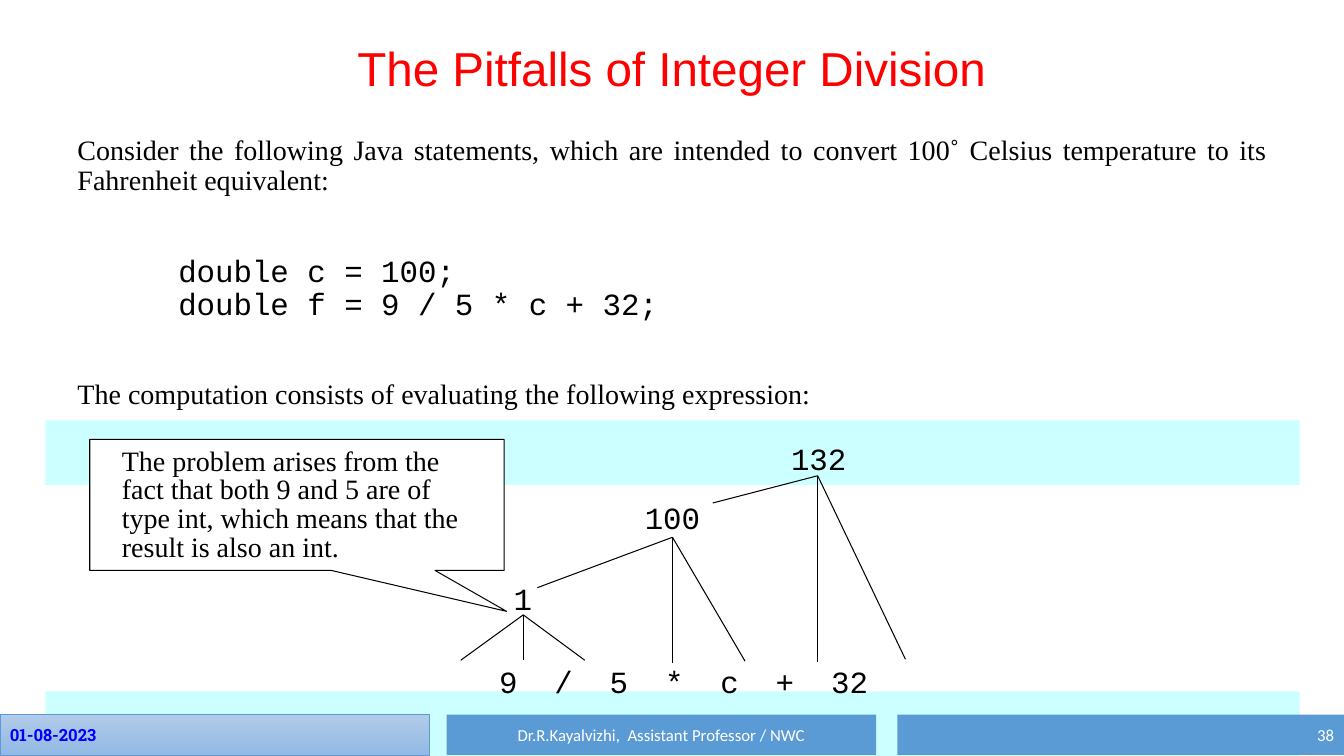
import pptx
import pptx.util
import pptx.dml.color
import pptx.enum.shapes
import pptx.enum.text
import pptx.oxml.ns
import lxml.etree

Inches = pptx.util.Inches
Pt = pptx.util.Pt
Kind = pptx.enum.shapes.MSO_SHAPE
Align = pptx.enum.text.PP_ALIGN
Anchor = pptx.enum.text.MSO_ANCHOR

SERIF = "Times New Roman"
MONO = "Courier New"
BLUE = "5B9BD5"

deck = pptx.Presentation()
deck.slide_width = Inches(13.33)
deck.slide_height = Inches(7.5)
slide = deck.slides.add_slide(deck.slide_layouts[6])
shapes = slide.shapes


def color(code):
    return pptx.dml.color.RGBColor.from_string(code)


def write(text, box=None, shape=None, size=20, font=SERIF, ink="000000",
          bold=False, align=Align.LEFT, anchor=Anchor.TOP, space=0.9):
    """Write text into a shape, or into a new text box."""
    if shape is None:
        shape = shapes.add_textbox(*map(Inches, box))
    frame = shape.text_frame
    frame.word_wrap = True
    frame.vertical_anchor = anchor
    for i, line in enumerate(text.split("\n")):
        para = frame.paragraphs[0] if i == 0 else frame.add_paragraph()
        para.alignment = align
        para.line_spacing = space
        run = para.add_run()
        run.text = line
        run.font.size = Pt(size)
        run.font.name = font
        run.font.bold = bold
        run.font.color.rgb = color(ink)


# Title and body text
write("The Pitfalls of Integer Division", (0, 0.08, 13.33, 1.25), size=34,
      font="Arial", ink="FF0000", align=Align.CENTER, anchor=Anchor.MIDDLE)
write("Consider the following Java statements, which are intended to convert "
      "100˚ Celsius temperature to its Fahrenheit equivalent:",
      (0.67, 1.3, 12, 0.71), align=Align.JUSTIFY)
write("double c = 100;\ndouble f = 9 / 5 * c + 32;",
      (1.67, 2.49, 10.66, 0.78), size=22, font=MONO, align=Align.JUSTIFY)
write("The computation consists of evaluating the following expression:",
      (0.67, 3.72, 12, 0.4), align=Align.JUSTIFY)

# Pale bands
for top in (6.86, 4.17):
    band = shapes.add_shape(Kind.RECTANGLE, Inches(0.45), Inches(top),
                            Inches(12.44), Inches(0.64))
    band.shadow.inherit = False
    band.fill.solid()
    band.fill.fore_color.rgb = color("CCFFFF")
    band.line.fill.background()

# Callout
note = shapes.add_shape(Kind.RECTANGULAR_CALLOUT, Inches(0.89), Inches(4.36),
                        Inches(4.11), Inches(1.3))
note.shadow.inherit = False
note.adjustments[0] = 0.506
note.adjustments[1] = 0.812
note.fill.solid()
note.fill.fore_color.rgb = color("FFFFFF")
note.line.color.rgb = color("000000")
note.line.width = Pt(0.75)
write("The problem arises from the fact that both 9 and 5 are of type int, "
      "which means that the result is also an int.",
      (1.11, 4.4, 3.78, 1.49), space=0.85)

# Expression and its evaluation tree: value, text box, apex, branch ends
write("9  /  5  *  c  +  32", (1.55, 6.57, 10.46, 0.44), size=22, font=MONO,
      align=Align.CENTER)
tree = [
    ("1", (4.85, 5.74, 0.67, 0.44), (5.19, 6.1),
     [(4.57, 6.55), (5.19, 6.55), (5.8, 6.55)]),
    ("100", (6.16, 4.94, 1.02, 0.44), (6.67, 5.33),
     [(5.33, 5.83), (6.67, 6.58), (7.39, 6.56)]),
    ("132", (7.61, 4.36, 1.02, 0.44), (8.11, 4.72),
     [(7.07, 4.99), (8.11, 6.57), (8.98, 6.54)]),
]
for value, box, apex, ends in tree:
    for end in ends:
        branch = shapes.add_connector(
            pptx.enum.shapes.MSO_CONNECTOR.STRAIGHT, *map(Inches, apex + end))
        branch.line.color.rgb = color("000000")
        branch.line.width = Pt(0.75)
        lxml.etree.SubElement(branch._element.spPr,
                              pptx.oxml.ns.qn("a:effectLst"))
    write(value, box, size=22, font=MONO, align=Align.CENTER)

# Footer
footer = [
    (0, 4.26, "01-08-2023", Align.LEFT, "Roboto Slab", "0000FF", True),
    (8.9, 4.43, "38", Align.RIGHT, "Calibri", "FFFFFF", False),
    (4.43, 4.26, "Dr.R.Kayalvizhi,  Assistant Professor / NWC", Align.CENTER,
     "Calibri", "FFFFFF", False),
]
for left, width, text, align, font, ink, dated in footer:
    bar = shapes.add_shape(Kind.RECTANGLE, Inches(left), Inches(7.09),
                           Inches(width), Inches(0.4))
    bar.shadow.inherit = False
    if dated:
        bar.fill.gradient()
        bar.fill.gradient_angle = 270
        for stop, code in zip(bar.fill.gradient_stops, ("B1CBE9", "93B9E4")):
            stop.color.rgb = color(code)
        bar.line.color.rgb = color(BLUE)
        bar.line.width = Pt(0.5)
    else:
        bar.fill.solid()
        bar.fill.fore_color.rgb = color(BLUE)
        bar.line.fill.background()
    write(text, shape=bar, size=12, font=font, ink=ink, bold=dated,
          align=align, anchor=Anchor.MIDDLE, space=1.0)

deck.save("out.pptx")
